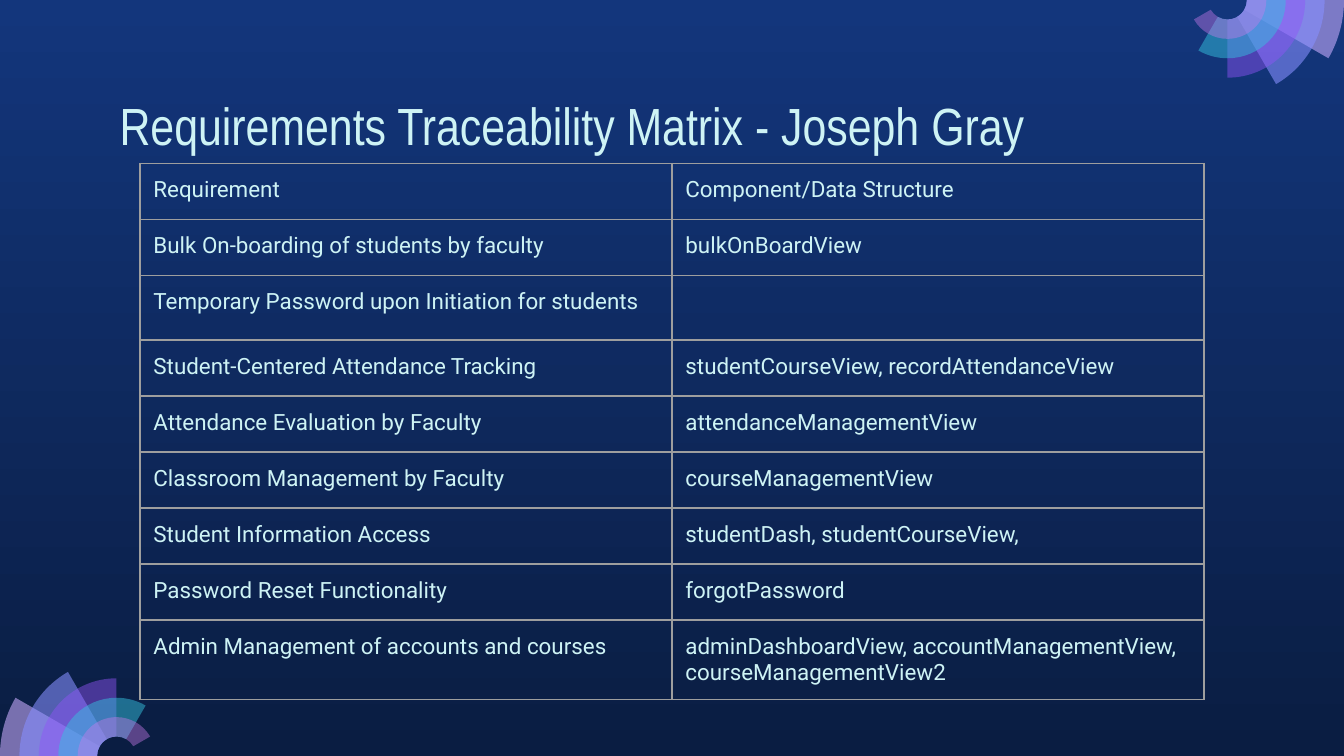
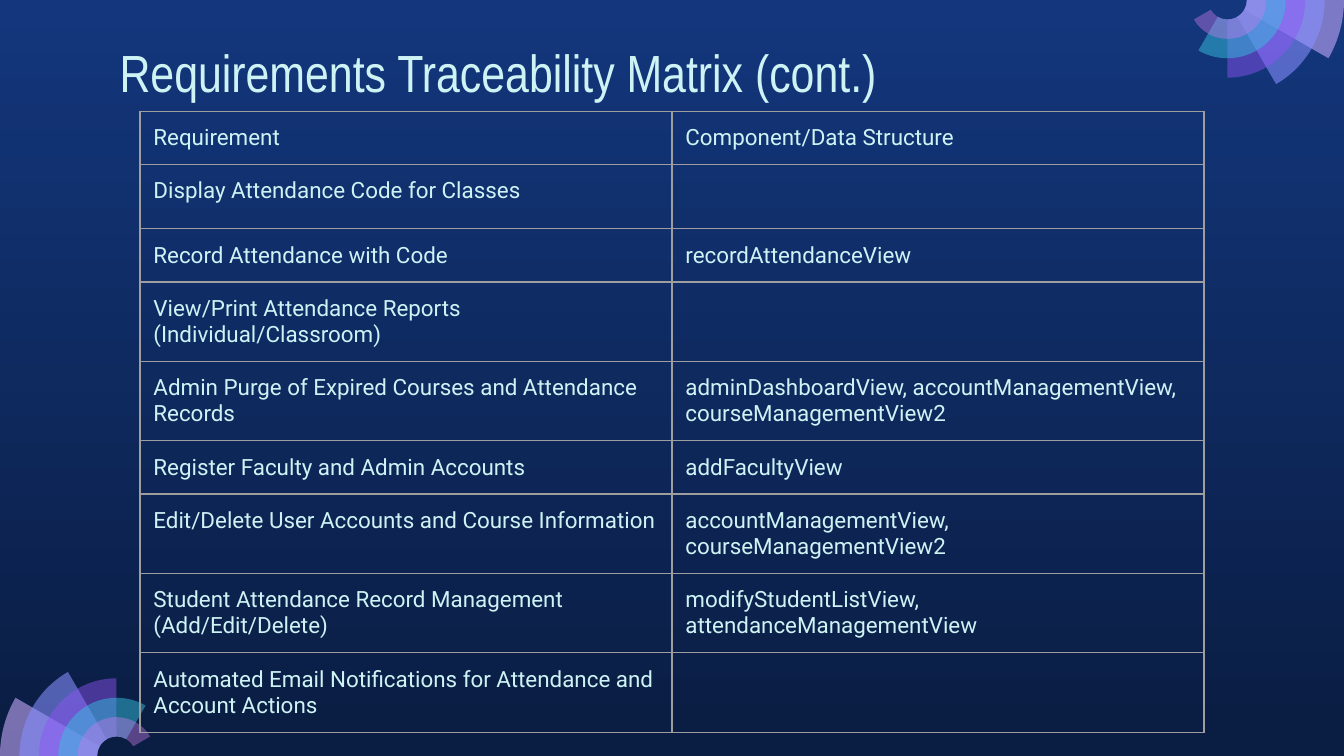
"""Build the two requirements traceability matrix slides."""
from dataclasses import dataclass
from math import cos, radians, sin, tan

from lxml import etree
from pptx import Presentation
from pptx.dml.color import RGBColor
from pptx.enum.text import MSO_ANCHOR, MSO_AUTO_SIZE, PP_ALIGN
from pptx.oxml.ns import qn
from pptx.util import Pt

TOP = MSO_ANCHOR.TOP
NO_FIT = MSO_AUTO_SIZE.NONE
LEFT = PP_ALIGN.LEFT

EMU_PER_PX = 1524
SLIDE_W, SLIDE_H = 6000, 3375
TITLE_X, TITLE_W, TITLE_H = 474, 5058, 375
MATRIX_X, MATRIX_FRAME, COLUMN_W = 625, 1968, 2375
INSET = 60
FAN_RADIUS = 520
TITLE_FONT, BODY_FONT, EMPTY_FONT = "Arial Narrow", "Roboto", "Arial"

COLORS = {
    "sky": "13367C",
    "night": "0A1D42",
    "text": "CEF3F5",
    "border": "9E9E9E",
    "lilac": "C8ACFD",
    "periwinkle": "878FFF",
    "violet": "9154F8",
    "teal": "35C2DF",
    "orchid": "CA7BEB",
}

Point = tuple[int, int]


@dataclass(frozen=True)
class Blade:
    """One ring sector of the corner fan."""
    color: str
    opacity: int


@dataclass(frozen=True)
class Matrix:
    """The title and table of one slide."""
    title: str
    title_y: int
    row_heights: list[int]
    requirements: list[tuple[str, str]]


BLADES = [
    Blade("lilac", 58),
    Blade("periwinkle", 58),
    Blade("violet", 46),
    Blade("teal", 49),
    Blade("orchid", 42),
]
HEADER = ("Requirement", "Component/Data Structure")
MATRICES = [
    Matrix("Requirements Traceability Matrix - Joseph Gray", 355, [250] * 9, [
        ("Bulk On-boarding of students by faculty", "bulkOnBoardView"),
        ("Temporary Password upon Initiation for students", ""),
        ("Student-Centered Attendance Tracking",
         "studentCourseView, recordAttendanceView"),
        ("Attendance Evaluation by Faculty", "attendanceManagementView"),
        ("Classroom Management by Faculty", "courseManagementView"),
        ("Student Information Access", "studentDash, studentCourseView,"),
        ("Password Reset Functionality", "forgotPassword"),
        ("Admin Management of accounts and courses",
         "adminDashboardView, accountManagementView, courseManagementView2"),
    ]),
    Matrix("Requirements Traceability Matrix (cont.)", 121,
           [228, 228, 228, 348, 348, 228, 348, 348, 348], [
        ("Display Attendance Code for Classes", ""),
        ("Record Attendance with Code", "recordAttendanceView"),
        ("View/Print Attendance Reports (Individual/Classroom)", ""),
        ("Admin Purge of Expired Courses and Attendance Records",
         "adminDashboardView, accountManagementView, courseManagementView2"),
        ("Register Faculty and Admin Accounts", "addFacultyView"),
        ("Edit/Delete User Accounts and Course Information",
         "accountManagementView, courseManagementView2"),
        ("Student Attendance Record Management (Add/Edit/Delete)",
         "modifyStudentListView, attendanceManagementView"),
        ("Automated Email Notifications for Attendance and Account Actions", ""),
    ]),
]


def px(length: float) -> int:
    """Turn px into EMU."""
    return round(length * EMU_PER_PX)


def rgb(name: str) -> RGBColor:
    """Look up a named colour."""
    return RGBColor.from_string(COLORS[name])


def paint_background(layout) -> None:
    """Fill the layout with the vertical blue gradient."""
    fill = layout.background.fill
    fill.gradient()
    fill.gradient_angle = 270
    for stop, name, position in zip(fill.gradient_stops, ("sky", "night"), (0, 1)):
        stop.color.rgb = rgb(name)
        stop.position = position


def arc(radius: float, sweep: int) -> list[Point]:
    """Return Bezier points from the left of the hub, clockwise, split at the top."""
    bounds = [0, sweep] if sweep <= 90 else [0, 90, sweep]

    def point(angle: float, tangent: float) -> Point:
        """Place a point on the circle, moved along its tangent."""
        x = FAN_RADIUS - radius * (cos(angle) - tangent * sin(angle))
        y = SLIDE_H - radius * (sin(angle) + tangent * cos(angle))
        return px(x), px(y)

    points = [point(0, 0)]
    for start, end in zip(bounds, bounds[1:]):
        first, last = radians(start), radians(end)
        reach = 4 / 3 * tan((last - first) / 4)
        points += [point(first, reach), point(last, -reach), point(last, 0)]
    return points


def bend(lines: list) -> None:
    """Replace each three straight segments by one cubic curve."""
    for start in range(0, len(lines), 3):
        curve = etree.Element(qn("a:cubicBezTo"))
        lines[start].addprevious(curve)
        for line in lines[start:start + 3]:
            curve.append(line[0])
            line.getparent().remove(line)


def draw_blade(fan, blade: Blade, radius: float, hole: float, sweep: int) -> None:
    """Draw one translucent ring sector."""
    outer, inner = arc(radius, sweep)[::-1], arc(hole, sweep)
    builder = fan.shapes.build_freeform(*outer[0])
    builder.add_line_segments(outer[1:] + inner, close=True)
    shape = builder.convert_to_shape()
    lines = list(shape.element.iter(qn("a:lnTo")))
    bend(lines[:len(outer) - 1])
    bend(lines[len(outer):len(outer) + len(inner) - 1])
    shape.shadow.inherit = False
    shape.line.fill.background()
    shape.fill.solid()
    shape.fill.fore_color.rgb = rgb(blade.color)
    color = next(shape.element.spPr.iter(qn("a:srgbClr")))
    etree.SubElement(color, qn("a:alpha"), val=str(blade.opacity * 1000))


def draw_fan(slide):
    """Draw blades that each get one ring shorter and 30 degrees wider."""
    fan = slide.shapes.add_group_shape()
    ring = FAN_RADIUS / (len(BLADES) + 1)
    for index, blade in enumerate(BLADES):
        draw_blade(fan, blade, FAN_RADIUS - ring * index, ring, 30 * (index + 1))
    return fan


def add_fans(slide, layout) -> None:
    """Put a fan and its half-turned twin on the layout."""
    lower, upper = draw_fan(slide), draw_fan(slide)
    upper.left = px(SLIDE_W) - upper.left - upper.width
    upper.top = px(SLIDE_H) - upper.top - upper.height
    upper.rotation = 180
    number = 100
    for fan in (lower, upper):
        for properties in fan.element.iter(qn("p:cNvPr")):
            properties.set("id", str(number))
            number += 1
        layout.shapes.element.append(fan.element)


def style_run(run, font_name: str, size: int) -> None:
    """Format a run in the shared text colour."""
    run.font.name = font_name
    run.font.size = Pt(size)
    run.font.color.rgb = rgb("text")


def add_title(slide, matrix: Matrix) -> None:
    """Place and format the title placeholder."""
    title = slide.shapes.title
    title.left, title.top = px(TITLE_X), px(matrix.title_y)
    title.width, title.height = px(TITLE_W), px(TITLE_H)
    frame = title.text_frame
    frame.text = matrix.title
    frame.word_wrap = True
    frame.auto_size = NO_FIT
    frame.vertical_anchor = TOP
    frame.margin_left = frame.margin_right = px(INSET)
    frame.margin_top = frame.margin_bottom = px(INSET)
    frame.paragraphs[0].alignment = LEFT
    style_run(frame.paragraphs[0].runs[0], TITLE_FONT, 28)


def add_borders(cell) -> None:
    """Give a cell a thin grey line on all four sides."""
    properties = cell._tc.get_or_add_tcPr()
    for index, side in enumerate(("lnL", "lnR", "lnT", "lnB")):
        line = etree.Element(qn(f"a:{side}"), w=str(Pt(0.75)))
        fill = etree.SubElement(line, qn("a:solidFill"))
        etree.SubElement(fill, qn("a:srgbClr"), val=COLORS["border"])
        properties.insert(index, line)


def fill_cell(cell, text: str) -> None:
    """Write and format one table cell."""
    cell.margin_left = cell.margin_right = px(INSET)
    cell.margin_top = cell.margin_bottom = px(INSET)
    cell.vertical_anchor = TOP
    cell.fill.background()
    add_borders(cell)
    paragraph = cell.text_frame.paragraphs[0]
    if text:
        paragraph.text = text
        paragraph.space_after = Pt(16)
        style_run(paragraph.runs[0], BODY_FONT, 12)
    else:
        ending = etree.SubElement(paragraph._p, qn("a:endParaRPr"), sz="1800")
        etree.SubElement(ending, qn("a:latin"), typeface=EMPTY_FONT)


def add_matrix(slide, matrix: Matrix) -> None:
    """Add the table directly below the title."""
    rows = [HEADER, *matrix.requirements]
    frame = slide.shapes.add_table(
        len(rows), len(HEADER), px(MATRIX_X), px(matrix.title_y + TITLE_H),
        px(MATRIX_FRAME), px(MATRIX_FRAME))
    table = frame.table
    table.first_row = table.horz_banding = False
    for column in table.columns:
        column.width = px(COLUMN_W)
    for row, height, texts in zip(table.rows, matrix.row_heights, rows):
        row.height = px(height)
        for cell, text in zip(row.cells, texts):
            fill_cell(cell, text)
    frame.width = frame.height = px(MATRIX_FRAME)


def main() -> None:
    """Build and save the presentation."""
    presentation = Presentation()
    presentation.slide_width = px(SLIDE_W)
    presentation.slide_height = px(SLIDE_H)
    layout = presentation.slide_layouts.get_by_name("Title Only")
    paint_background(layout)
    slides = [presentation.slides.add_slide(layout) for _ in MATRICES]
    add_fans(slides[0], layout)
    for slide, matrix in zip(slides, MATRICES):
        add_title(slide, matrix)
        add_matrix(slide, matrix)
    presentation.save("out.pptx")


if __name__ == "__main__":
    main()
